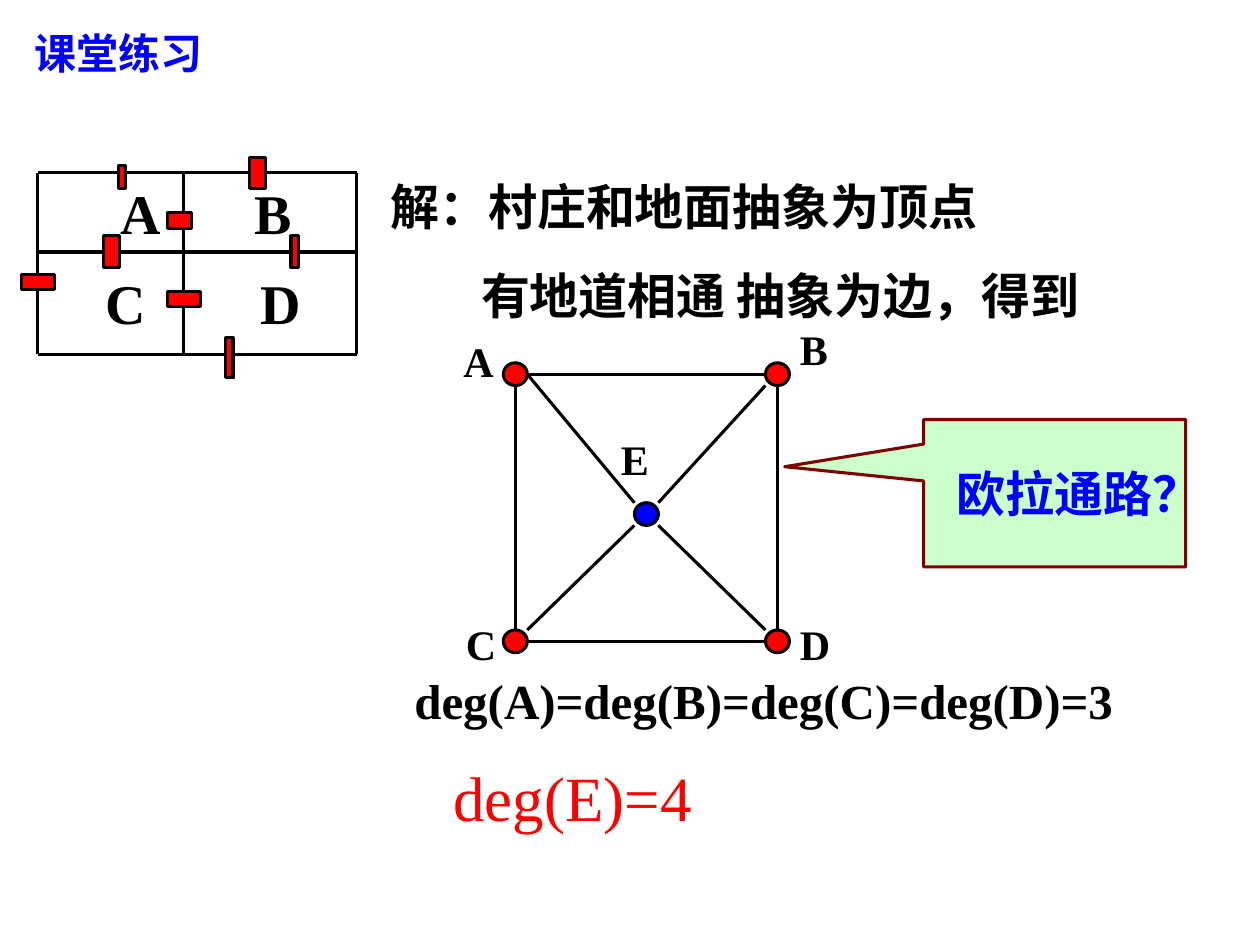
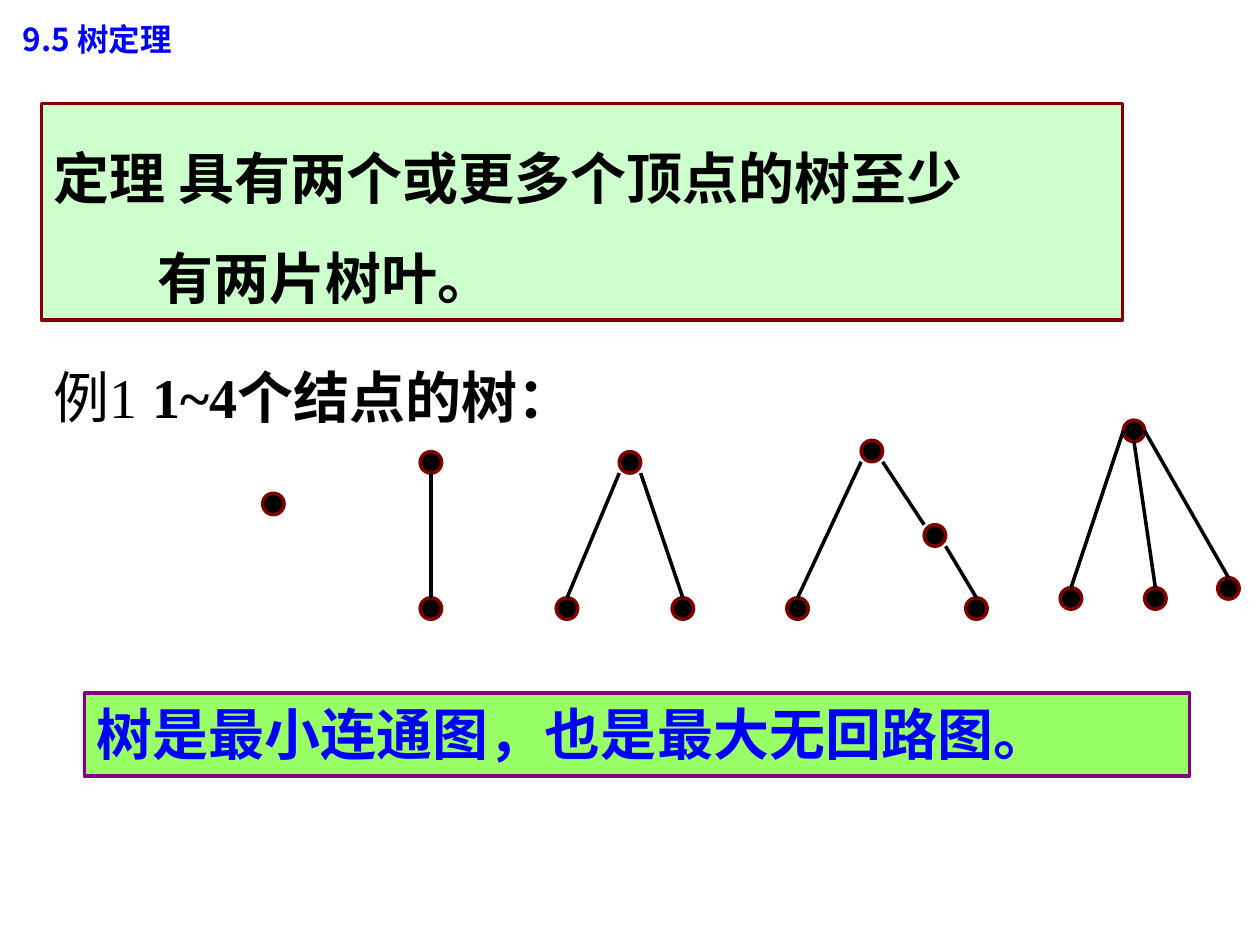
"""Build two lesson slides on Euler paths and trees."""
from pptx import Presentation
from pptx import util as u
from pptx.dml.color import RGBColor
from pptx.enum import shapes, text
from pptx.oxml.ns import qn
from lxml import etree

COLOURS = {
    "black": "000000", "red": "FF0000", "blue": "0000FF", "maroon": "800000",
    "mint": "CCFFCC", "lime": "99FF66", "purple": "800080",
}
HEITI = "Noto Sans CJK SC"
ROMAN = "Times New Roman"
PORTS = {
    "n": (0, -1), "s": (0, 1), "w": (-1, 0), "e": (1, 0),
    "nw": (-1, -1), "ne": (1, -1), "sw": (-1, 1), "se": (1, 1),
}


def colour(name):
    return RGBColor.from_string(COLOURS[name])


def set_east_asian(properties):
    ea = properties.find(qn("a:ea"))
    if ea is None:
        ea = etree.Element(qn("a:ea"))
        properties.find(qn("a:latin")).addnext(ea)
    ea.set("typeface", HEITI)


def write(shape, lines, size, ink="black", bold=True, font=HEITI,
          align=text.PP_ALIGN.LEFT, anchor=text.MSO_ANCHOR.TOP,
          spacing=1.0, indent=0):
    frame = shape.text_frame
    frame.word_wrap = True
    frame.auto_size = text.MSO_AUTO_SIZE.NONE
    frame.vertical_anchor = anchor
    frame.text = "\n".join(lines)
    for number, paragraph in enumerate(frame.paragraphs):
        paragraph.alignment = align
        paragraph.line_spacing = spacing
        paragraph.font.size = u.Pt(size)
        paragraph.font.bold = bold
        paragraph.font.name = font
        paragraph.font.color.rgb = colour(ink)
        properties = paragraph._p.get_or_add_pPr()
        set_east_asian(properties.find(qn("a:defRPr")))
        if number and indent:
            properties.set("marL", str(u.Inches(indent)))
            properties.set("indent", "0")


def add_title(slide, words, box, size, font):
    title = slide.shapes.title
    title.left, title.top, title.width, title.height = map(u.Inches, box)
    write(title, [words], size, "blue", font=font)


def add_text(slide, box, lines, size, **style):
    shape = slide.shapes.add_textbox(*map(u.Inches, box))
    write(shape, lines, size, **style)
    return shape


def add_panel(slide, kind, box, fill, outline, weight):
    shape = slide.shapes.add_shape(kind, *map(u.Inches, box))
    shape.shadow.inherit = False
    shape.fill.solid()
    shape.fill.fore_color.rgb = colour(fill)
    shape.line.color.rgb = colour(outline)
    shape.line.width = u.Pt(weight)
    return shape


def add_line(slide, start, end, weight):
    line = slide.shapes.add_connector(
        shapes.MSO_CONNECTOR.STRAIGHT, *map(u.Inches, (*start, *end)))
    line.line.color.rgb = colour("black")
    line.line.width = u.Pt(weight)
    etree.SubElement(line._element.spPr, qn("a:effectLst"))


def draw_graph(slide, vertices, edges, size, outline, weight):
    width, height = size

    def port(name, side):
        x, y = vertices[name][:2]
        across, down = PORTS[side]
        return x + across * width / 2, y + down * height / 2

    for x, y, fill in vertices.values():
        box = (x - width / 2, y - height / 2, width, height)
        add_panel(slide, shapes.MSO_SHAPE.OVAL, box, fill, outline, weight)
    for start, start_side, end, end_side in edges:
        add_line(slide, port(start, start_side), port(end, end_side), weight)


def add_labels(slide, labels, size):
    for letter, left, top in labels:
        add_text(slide, (left, top, 0.6, 0.55), [letter], size, font=ROMAN)


def draw_village_map(slide):
    columns, rows = (0.3, 1.46, 2.83), (1.37, 2, 2.81)
    for y in rows:
        add_line(slide, (columns[0], y), (columns[-1], y), 1.75)
    for x in columns:
        add_line(slide, (x, rows[0]), (x, rows[-1]), 1.75)
    tunnels = [
        (0.94, 1.31, 0.06, 0.19), (1.98, 1.25, 0.13, 0.25),
        (0.82, 1.87, 0.13, 0.25), (1.33, 1.69, 0.19, 0.12),
        (2.31, 1.87, 0.06, 0.25), (1.79, 2.68, 0.06, 0.32),
        (0.17, 2.18, 0.26, 0.12), (1.33, 2.31, 0.26, 0.12),
    ]
    for tunnel in tunnels:
        add_panel(slide, shapes.MSO_SHAPE.RECTANGLE, tunnel, "red", "black", 1.75)
    add_labels(slide, [("A", 0.86, 1.37), ("B", 1.92, 1.37),
                       ("C", 0.74, 2.08), ("D", 1.97, 2.08)], 32)


def draw_village_graph(slide):
    left, right, top, bottom = 4.09, 6.17, 2.97, 5.09
    vertices = {
        "A": (left, top, "red"), "B": (right, top, "red"),
        "C": (left, bottom, "red"), "D": (right, bottom, "red"),
        "E": ((left + right) / 2, 4.08, "blue"),
    }
    edges = [
        ("A", "e", "B", "w"), ("A", "s", "C", "n"),
        ("C", "e", "D", "w"), ("B", "s", "D", "n"),
        ("A", "e", "E", "nw"), ("E", "se", "D", "nw"),
        ("C", "ne", "E", "sw"), ("E", "ne", "B", "sw"),
    ]
    draw_graph(slide, vertices, edges, (0.19, 0.18), "black", 1.75)
    add_labels(slide, [("A", 3.58, 2.61), ("B", 6.25, 2.52), ("C", 3.6, 4.86),
                       ("D", 6.25, 4.86), ("E", 4.83, 3.39)], 24)


def draw_trees(slide):
    trees = [
        ([(2.17, 4)], []),
        ([(3.42, 3.67), (3.42, 4.83)], [(0, "s", 1, "n")]),
        ([(5, 3.67), (4.5, 4.83), (5.42, 4.83)],
         [(0, "sw", 1, "n"), (0, "se", 2, "n")]),
        ([(6.92, 3.58), (6.33, 4.83), (7.42, 4.25), (7.75, 4.83)],
         [(0, "sw", 1, "n"), (0, "se", 2, "nw"), (2, "se", 3, "n")]),
        ([(9, 3.42), (8.5, 4.75), (9.17, 4.75), (9.75, 4.67)],
         [(0, "w", 1, "n"), (0, "s", 2, "n"), (0, "e", 3, "n")]),
    ]
    for centres, edges in trees:
        vertices = {number: (x, y, "black") for number, (x, y) in enumerate(centres)}
        draw_graph(slide, vertices, edges, (0.17, 0.17), "maroon", 2)


def add_example_heading(slide):
    heading = add_text(slide, (0.33, 2.83, 6.1, 0.63), [""], 32, bold=False)
    paragraph = heading.text_frame.paragraphs[0]
    for words, font, bold in (("例", "Arial", False), ("1 ", ROMAN, False),
                              ("1~4", ROMAN, True), ("个结点的树：", HEITI, True)):
        run = paragraph.add_run()
        run.text = words
        run.font.name = font
        run.font.bold = bold
        set_east_asian(run._r.get_or_add_rPr())


def build_exercise(slide):
    add_title(slide, "课堂练习", (0.17, 0.17, 3.02, 0.5), 24, ROMAN)
    draw_village_map(slide)
    add_text(slide, (3, 1.12, 5.8, 1.51),
             ["解：村庄和地面抽象为顶点", "有地道相通 抽象为边，得到"],
             28, spacing=1.5, indent=0.72)
    draw_village_graph(slide)
    callout = add_panel(slide, shapes.MSO_SHAPE.RECTANGULAR_CALLOUT,
                        (7.33, 3.33, 2.08, 1.17), "mint", "maroon", 1.75)
    callout.adjustments[0] = -1.03
    callout.adjustments[1] = -0.18
    write(callout, ["欧拉通路？"], 28, "blue", align=text.PP_ALIGN.CENTER,
          anchor=text.MSO_ANCHOR.MIDDLE)
    add_text(slide, (3.19, 5.27, 6.06, 0.57),
             ["deg(A)=deg(B)=deg(C)=deg(D)=3"], 28, font=ROMAN)
    add_text(slide, (3.5, 5.97, 3.35, 0.7), ["deg(E)=4"], 36,
             ink="red", bold=False, font=ROMAN)


def build_tree_theorem(slide):
    add_title(slide, "9.5 树定理", (0.08, 0.11, 3, 0.4), 18, HEITI)
    theorem = add_panel(slide, shapes.MSO_SHAPE.RECTANGLE,
                        (0.33, 0.82, 8.58, 1.72), "mint", "maroon", 2)
    write(theorem, ["定理 具有两个或更多个顶点的树至少", "有两片树叶。"],
          32, spacing=1.5, indent=0.82)
    add_example_heading(slide)
    draw_trees(slide)
    summary = add_panel(slide, shapes.MSO_SHAPE.RECTANGLE,
                        (0.67, 5.5, 8.77, 0.66), "lime", "purple", 2)
    write(summary, ["树是最小连通图，也是最大无回路图。"], 32, "blue")


def main():
    presentation = Presentation()
    presentation.slide_width = u.Inches(10)
    presentation.slide_height = u.Inches(7.5)
    title_only = presentation.slide_layouts[5]
    for build in (build_exercise, build_tree_theorem):
        build(presentation.slides.add_slide(title_only))
    presentation.save("out.pptx")


if __name__ == "__main__":
    main()
